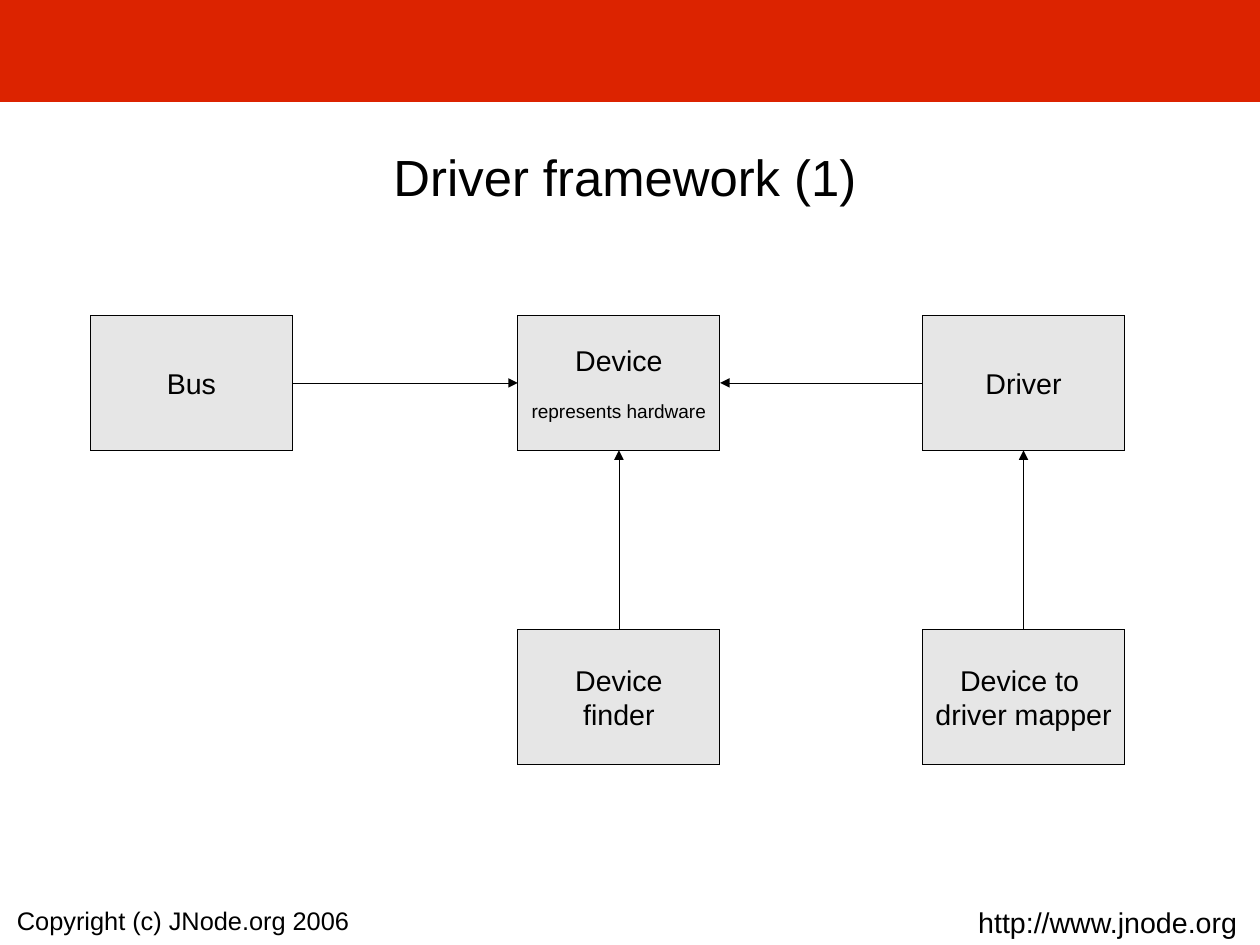
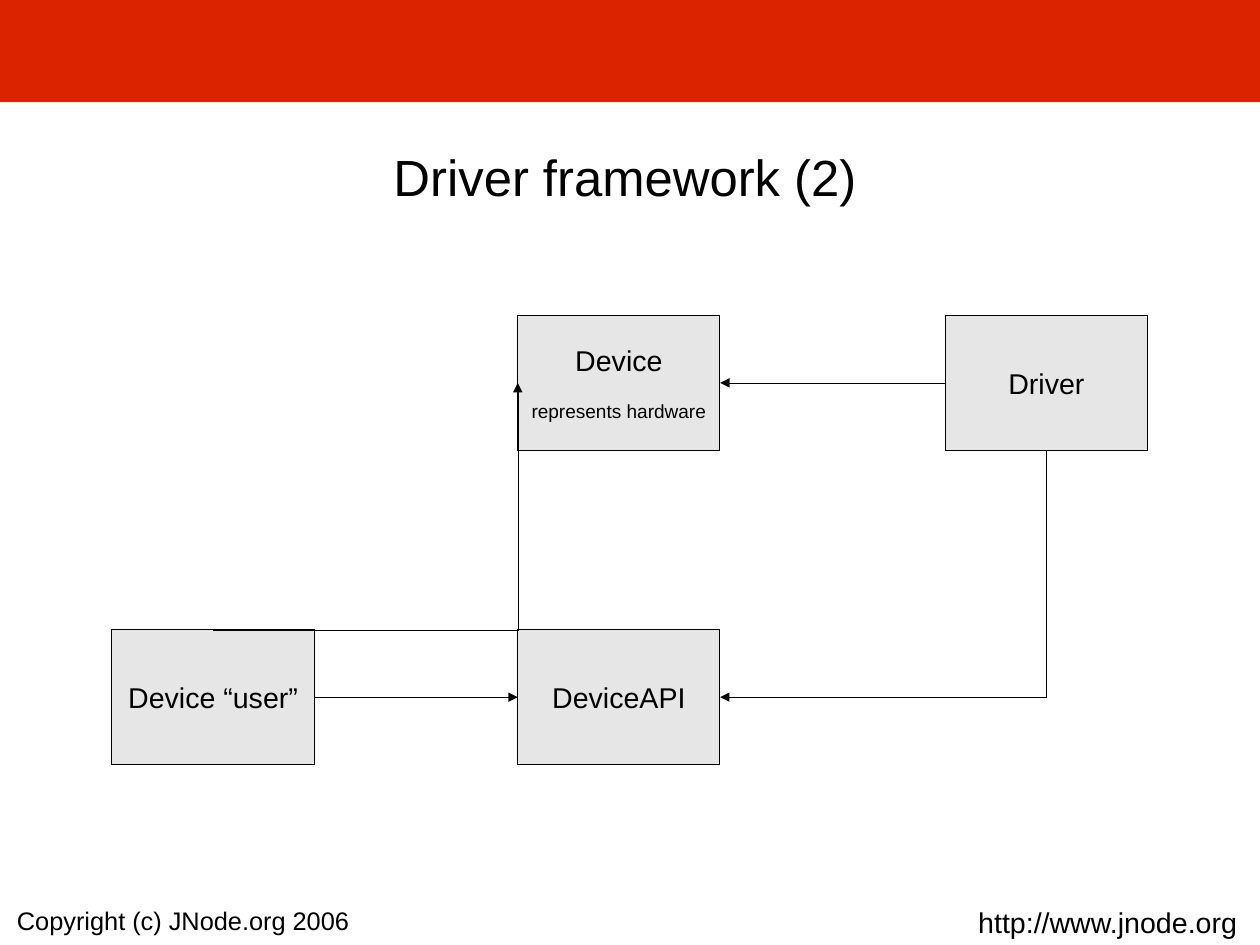
from dataclasses import dataclass

from lxml.etree import SubElement
from pptx import Presentation
from pptx.dml.color import RGBColor
from pptx.enum.shapes import MSO_CONNECTOR, MSO_SHAPE
from pptx.enum.text import MSO_ANCHOR, MSO_AUTO_SIZE, PP_ALIGN
from pptx.oxml.ns import qn
from pptx.util import Inches, Pt


@dataclass(frozen=True)
class Theme:
    font: str = "Arial"
    ink: RGBColor = RGBColor(0x00, 0x00, 0x00)
    band: RGBColor = RGBColor(0xDC, 0x23, 0x00)
    box: RGBColor = RGBColor(0xE6, 0xE6, 0xE6)
    title: int = 32
    label: int = 18
    copyright: int = 16
    detail: int = 12
    detail_gap: int = 14
    hairline: int = 0


theme = Theme()


def write_text(shape, lines, alignment, frame_format):
    frame = shape.text_frame
    frame.text = "\n".join(text for text, size in lines)
    for name, value in frame_format.items():
        setattr(frame, name, value)
    for paragraph, (text, size) in zip(frame.paragraphs, lines):
        paragraph.alignment = alignment
        for name, value in {"name": theme.font, "size": Pt(size)}.items():
            setattr(paragraph.font, name, value)
        paragraph.font.color.rgb = theme.ink


def add_rectangle(slide, left, top, width, height, fill, line):
    shape = slide.shapes.add_shape(
        MSO_SHAPE.RECTANGLE, Inches(left), Inches(top), Inches(width), Inches(height)
    )
    shape.shadow.inherit = False
    shape.fill.solid()
    shape.fill.fore_color.rgb = fill
    shape.line.color.rgb = line
    shape.line.width = Pt(theme.hairline)
    shape.element.remove(shape.element.find(qn("p:style")))
    return shape


slide_width, slide_height = 28 / 2.54, 21 / 2.54
box_width, box_height = 1.77, 1.18
upper_row, lower_row = 2.76, 5.51
middle_column = 4.53

title_place = {"left": 0.51, "top": 0.98, "width": 9.92, "height": 1.12}
title_format = {
    "margin_left": 0,
    "margin_right": 0,
    "margin_top": 0,
    "margin_bottom": 0,
    "word_wrap": True,
    "vertical_anchor": MSO_ANCHOR.MIDDLE,
    "auto_size": MSO_AUTO_SIZE.NONE,
}
box_format = {"word_wrap": True, "vertical_anchor": MSO_ANCHOR.MIDDLE}
footer_format = {"word_wrap": False, "auto_size": MSO_AUTO_SIZE.SHAPE_TO_FIT_TEXT}

footers = [
    ("Copyright (c) JNode.org 2006", theme.copyright, 0.05, 3.11, 0.35),
    ("http://www.jnode.org", theme.label, 8.46, 2.48, 0.38),
]
side_fractions = {
    "left": (0, 0.5),
    "right": (1, 0.5),
    "top": (0.5, 0),
    "bottom": (0.5, 1),
}
device_lines = [("Device", theme.label), ("represents hardware", theme.detail)]

diagrams = [
    {
        "title": "Driver framework (1)",
        "boxes": {
            "device": (middle_column, upper_row, device_lines),
            "driver": (8.07, upper_row, [("Driver", theme.label)]),
            "bus": (0.79, upper_row, [("Bus", theme.label)]),
            "mapper": (
                8.07,
                lower_row,
                [("Device to ", theme.label), ("driver mapper", theme.label)],
            ),
            "finder": (
                middle_column,
                lower_row,
                [("Device", theme.label), ("finder", theme.label)],
            ),
        },
        "arrows": [
            ("driver", "left", "device", "right", "tailEnd"),
            ("finder", "top", "device", "bottom", "tailEnd"),
            ("bus", "right", "device", "left", "tailEnd"),
            ("mapper", "top", "driver", "bottom", "tailEnd"),
        ],
    },
    {
        "title": "Driver framework (2)",
        "boxes": {
            "device": (middle_column, upper_row, device_lines),
            "driver": (8.27, upper_row, [("Driver", theme.label)]),
            "api": (middle_column, lower_row, [("DeviceAPI", theme.label)]),
            "user": (0.98, lower_row, [("Device “user”", theme.label)]),
        },
        "arrows": [
            ("driver", "left", "device", "right", "tailEnd"),
            ("api", "right", "driver", "bottom", "headEnd"),
            ("user", "right", "api", "left", "tailEnd"),
            ("user", "top", "device", "left", "tailEnd"),
        ],
    },
]

presentation = Presentation()
presentation.slide_width = Inches(slide_width)
presentation.slide_height = Inches(slide_height)
presentation.element.find(qn("p:sldSz")).attrib.pop("type", None)
layout = presentation.slide_layouts[5]
for placeholder in list(layout.placeholders)[1:]:
    layout.shapes.element.remove(placeholder.element)

for diagram in diagrams:
    slide = presentation.slides.add_slide(layout)
    title = slide.shapes.title
    for name, value in title_place.items():
        setattr(title, name, Inches(value))
    write_text(title, [(diagram["title"], theme.title)], PP_ALIGN.CENTER, title_format)

    boxes = {}
    for key, (left, top, lines) in diagram["boxes"].items():
        box = add_rectangle(
            slide, left, top, box_width, box_height, theme.box, theme.ink
        )
        write_text(box, lines, PP_ALIGN.CENTER, box_format)
        for paragraph, (text, size) in zip(box.text_frame.paragraphs, lines):
            if size == theme.detail:
                paragraph.space_before = Pt(theme.detail_gap)
        boxes[key] = box

    for start, start_side, finish, finish_side, arrow_end in diagram["arrows"]:
        points = []
        for key, side in [(start, start_side), (finish, finish_side)]:
            box = boxes[key]
            across, down = side_fractions[side]
            points.append(round(box.left + across * box.width))
            points.append(round(box.top + down * box.height))
        straight = points[0] == points[2] or points[1] == points[3]
        kind = MSO_CONNECTOR.STRAIGHT if straight else MSO_CONNECTOR.ELBOW
        connector = slide.shapes.add_connector(kind, *points)
        connector.line.color.rgb = theme.ink
        connector.line.width = Pt(theme.hairline)
        connector.element.remove(connector.element.find(qn("p:style")))
        properties = connector.element.spPr
        if not straight:
            properties.find(qn("a:prstGeom")).set("prst", "bentConnector2")
        SubElement(properties.find(qn("a:ln")), qn("a:" + arrow_end), type="triangle")
        SubElement(properties, qn("a:effectLst"))

first_slide = presentation.slides[0]
shared_shapes = [
    add_rectangle(first_slide, 0, 0, slide_width, 0.89, theme.band, theme.band)
]
for text, size, left, width, height in footers:
    footer = first_slide.shapes.add_textbox(
        Inches(left), Inches(7.87), Inches(width), Inches(height)
    )
    write_text(footer, [(text, size)], PP_ALIGN.LEFT, footer_format)
    shared_shapes.append(footer)
for shape in shared_shapes:
    layout.shapes.element.append(shape.element)

presentation.save("out.pptx")
